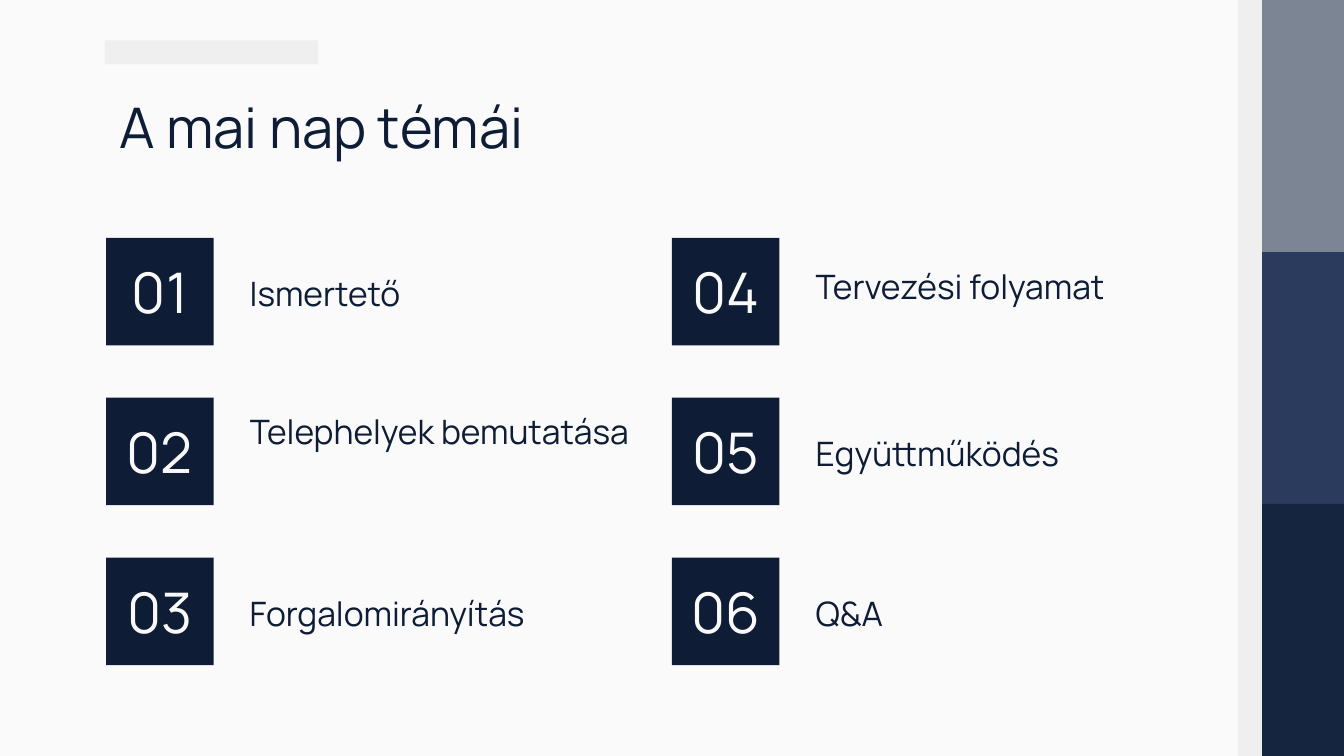
from pptx import Presentation
from pptx.dml.color import RGBColor
from pptx.enum.shapes import MSO_SHAPE
from pptx.enum.text import MSO_ANCHOR, MSO_AUTO_SIZE, PP_ALIGN
from pptx.util import Inches, Pt

PAPER = RGBColor(0xFA, 0xFA, 0xFA)
NAVY = RGBColor(0x0E, 0x1D, 0x35)
PALE_GREY = RGBColor(0xEF, 0xEF, 0xEF)
BAND_COLORS = [
    RGBColor(0x7C, 0x85, 0x94),
    RGBColor(0x2B, 0x3B, 0x5D),
    RGBColor(0x15, 0x25, 0x3F),
]
FONT = "Manrope"
SLIDE_WIDTH = 10
SLIDE_HEIGHT = SLIDE_WIDTH * 9 / 16

# Topic, label width and label offset below the top of its number tile
TOPIC_COLUMNS = [
    [("Ismertető", 2.77, 0.16),
     ("Telephelyek bemutatása", 3.08, 0),
     ("Forgalomirányítás", 2.77, 0.16)],
    [("Tervezési folyamat", 3.24, 0.11),
     ("Együttműködés", 3.24, 0.16),
     ("Q&A", 2.77, 0.16)],
]


def add_block(slide, left, top, width, height, color):
    block = slide.shapes.add_shape(
        MSO_SHAPE.RECTANGLE,
        Inches(left), Inches(top), Inches(width), Inches(height))
    block.shadow.inherit = False
    block.fill.solid()
    block.fill.fore_color.rgb = color
    block.line.fill.background()
    return block


def write(shape, text, size, color, align=PP_ALIGN.LEFT, anchor=MSO_ANCHOR.TOP):
    frame = shape.text_frame
    frame.text = text
    frame.word_wrap = True
    frame.auto_size = MSO_AUTO_SIZE.NONE
    frame.vertical_anchor = anchor
    frame.margin_left = frame.margin_right = Inches(0.1)
    frame.margin_top = frame.margin_bottom = Inches(0.1)
    paragraph = frame.paragraphs[0]
    paragraph.alignment = align
    paragraph.font.name = FONT
    paragraph.font.size = Pt(size)
    paragraph.font.color.rgb = color


def add_side_bands(slide, left, top, width, height):
    # Three equal colour bands with a pale strip along their left edge
    strip_width = 0.18
    band_height = height / len(BAND_COLORS)
    for row, color in enumerate(BAND_COLORS):
        add_block(slide, left + strip_width, top + row * band_height,
                  width - strip_width, band_height, color)
    add_block(slide, left, top, strip_width, height, PALE_GREY)


def add_heading(slide, left, top, width, height):
    # Accent bar above the title
    title_offset = 0.29
    add_block(slide, left - 0.01, top, 1.59, 0.18, PALE_GREY)
    title = slide.shapes.title
    title.left, title.top = Inches(left), Inches(top + title_offset)
    title.width, title.height = Inches(width), Inches(height - title_offset)
    write(title, "A mai nap témái", 30, NAVY)


def add_topic(slide, left, top, number, topic, label_width, label_offset):
    tile_size = 0.8
    tile = add_block(slide, left, top, tile_size, tile_size, NAVY)
    write(tile, f"{number:02d}", 30, PAPER, PP_ALIGN.CENTER, MSO_ANCHOR.MIDDLE)
    label = slide.shapes.add_textbox(
        Inches(left + 0.97), Inches(top + label_offset),
        Inches(label_width), Inches(tile_size))
    write(label, topic, 18, NAVY)


def add_agenda(slide, left, top, column_pitch, row_pitch):
    # Numbers run down each column
    number = 1
    for column, topics in enumerate(TOPIC_COLUMNS):
        for row, (topic, label_width, label_offset) in enumerate(topics):
            add_topic(slide, left + column * column_pitch, top + row * row_pitch,
                      number, topic, label_width, label_offset)
            number += 1


def main():
    presentation = Presentation()
    presentation.slide_width = Inches(SLIDE_WIDTH)
    presentation.slide_height = Inches(SLIDE_HEIGHT)
    slide = presentation.slides.add_slide(presentation.slide_layouts[5])
    slide.background.fill.solid()
    slide.background.fill.fore_color.rgb = PAPER

    add_side_bands(slide, 9.21, 0, 0.79, SLIDE_HEIGHT)
    add_heading(slide, 0.79, 0.3, 8.43, 0.92)
    add_agenda(slide, 0.79, 1.77, 4.21, 1.19)

    presentation.save("out.pptx")


if __name__ == "__main__":
    main()
